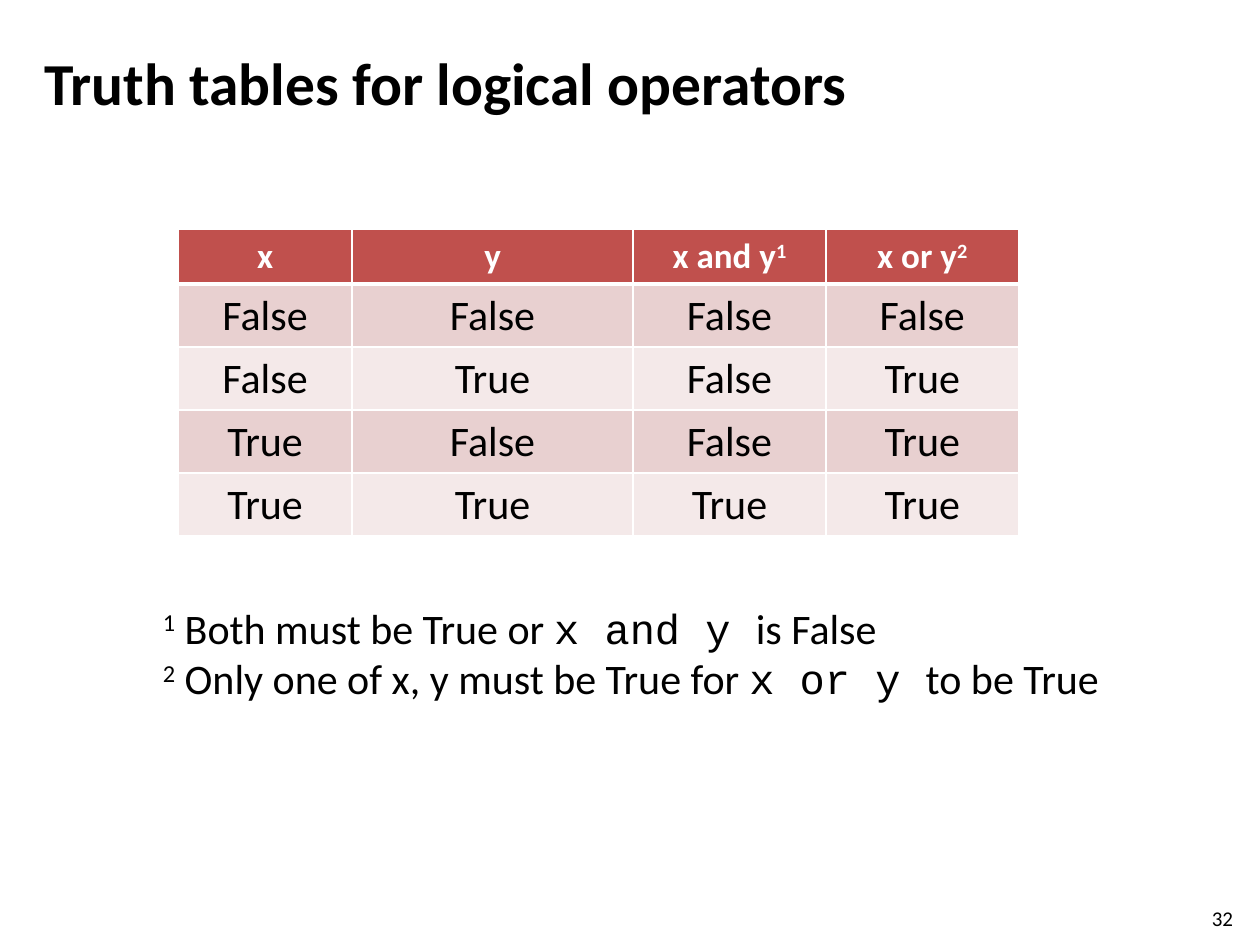
from lxml.etree import SubElement
from pptx import Presentation
from pptx.dml.color import RGBColor
from pptx.enum.text import MSO_ANCHOR, PP_ALIGN
from pptx.oxml.ns import qn
from pptx.util import Pt

BLACK, WHITE = "000000", "FFFFFF"
HEADER_FILL = "C0504D"
BAND_FILLS = ("E8D0D0", "F4E9E9")
COLUMN_WIDTHS = (99.4, 160.6, 110.2, 110.2)
HEADER_HEIGHT, ROW_HEIGHT = 31, 36
HEADERS = (("x", ""), ("y", ""), ("x and y", "1"), ("x or y", "2"))

TITLE_FONT = {"name": "Calibri", "size": Pt(34), "bold": True}
HEADER_FONT = {"name": "Calibri", "size": Pt(20), "bold": True}
BODY_FONT = {"name": "Calibri", "size": Pt(24), "bold": False}
CODE_FONT = {"name": "Courier New", "size": Pt(24), "bold": False}
NUMBER_FONT = {"name": "Calibri", "size": Pt(12), "bold": False}


def rgb(value):
    return RGBColor.from_string(value)


def add_run(paragraph, text, font_format, color=BLACK, superscript=False):
    run = paragraph.add_run()
    run.text = text
    for name, value in font_format.items():
        setattr(run.font, name, value)
    run.font.color.rgb = rgb(color)
    if superscript:
        run.font._element.set("baseline", "30000")


def add_title(slide, text):
    title = slide.shapes.title
    title.left, title.top, title.width, title.height = Pt(18), Pt(21.6), Pt(624), Pt(50.4)
    title.text_frame.vertical_anchor = MSO_ANCHOR.MIDDLE
    paragraph = title.text_frame.paragraphs[0]
    paragraph.alignment = PP_ALIGN.LEFT
    add_run(paragraph, text, TITLE_FONT)


def add_text(slide, left, top, width, height, lines):
    shape = slide.shapes.add_textbox(Pt(left), Pt(top), Pt(width), Pt(height))
    frame = shape.text_frame
    frame.word_wrap = False
    for index, runs in enumerate(lines):
        paragraph = frame.add_paragraph() if index else frame.paragraphs[0]
        for text, font_format, superscript in runs:
            add_run(paragraph, text, font_format, superscript=superscript)


def set_borders(cell, widths):
    properties = cell._tc.get_or_add_tcPr()
    for side, width in zip("LRTB", widths):
        line = SubElement(properties, qn(f"a:ln{side}"), w=str(Pt(width)))
        fill = SubElement(line, qn("a:solidFill"))
        SubElement(fill, qn("a:srgbClr"), val=WHITE)


def format_cell(cell, text, mark, font_format, color, fill, borders):
    set_borders(cell, borders)
    cell.fill.solid()
    cell.fill.fore_color.rgb = rgb(fill)
    paragraph = cell.text_frame.paragraphs[0]
    paragraph.alignment = PP_ALIGN.CENTER
    add_run(paragraph, text, font_format, color)
    if mark:
        add_run(paragraph, mark, font_format, color, superscript=True)


def add_truth_table(slide):
    inputs = [(x, y) for x in (False, True) for y in (False, True)]
    rows = [(x, y, x and y, x or y) for x, y in inputs]
    height = HEADER_HEIGHT + ROW_HEIGHT * len(rows)
    table = slide.shapes.add_table(
        len(rows) + 1, len(HEADERS), Pt(101.8), Pt(131), Pt(sum(COLUMN_WIDTHS)), Pt(height)
    ).table
    for column, width in zip(table.columns, COLUMN_WIDTHS):
        column.width = Pt(width)
    for index, row in enumerate(table.rows):
        row.height = Pt(ROW_HEIGHT if index else HEADER_HEIGHT)
    for column, (text, mark) in enumerate(HEADERS):
        format_cell(table.cell(0, column), text, mark, HEADER_FONT, WHITE, HEADER_FILL, (1, 1, 1, 3))
    for index, values in enumerate(rows):
        borders = (1, 1, 1 if index else 3, 1)
        for column, value in enumerate(values):
            cell = table.cell(index + 1, column)
            format_cell(cell, str(value), "", BODY_FONT, BLACK, BAND_FILLS[index % 2], borders)


def footnote(mark, start, code, end):
    return [
        (mark, BODY_FONT, True),
        (start, BODY_FONT, False),
        (code, CODE_FONT, False),
        (end, BODY_FONT, False),
    ]


def main():
    presentation = Presentation()
    presentation.slide_width, presentation.slide_height = Pt(720), Pt(540)
    slide = presentation.slides.add_slide(presentation.slide_layouts[5])
    add_title(slide, "Truth tables for logical operators")
    add_text(slide, 685.4, 514, 28.8, 17.3, [[("32", NUMBER_FONT, False)]])
    add_truth_table(slide)
    add_text(slide, 86, 340.6, 559.4, 65.5, [
        footnote("1", " Both must be True or ", "x and y ", "is False"),
        footnote("2", " Only one of x, y must be True for ", "x or y ", "to be True"),
    ])
    presentation.save("out.pptx")


if __name__ == "__main__":
    main()
